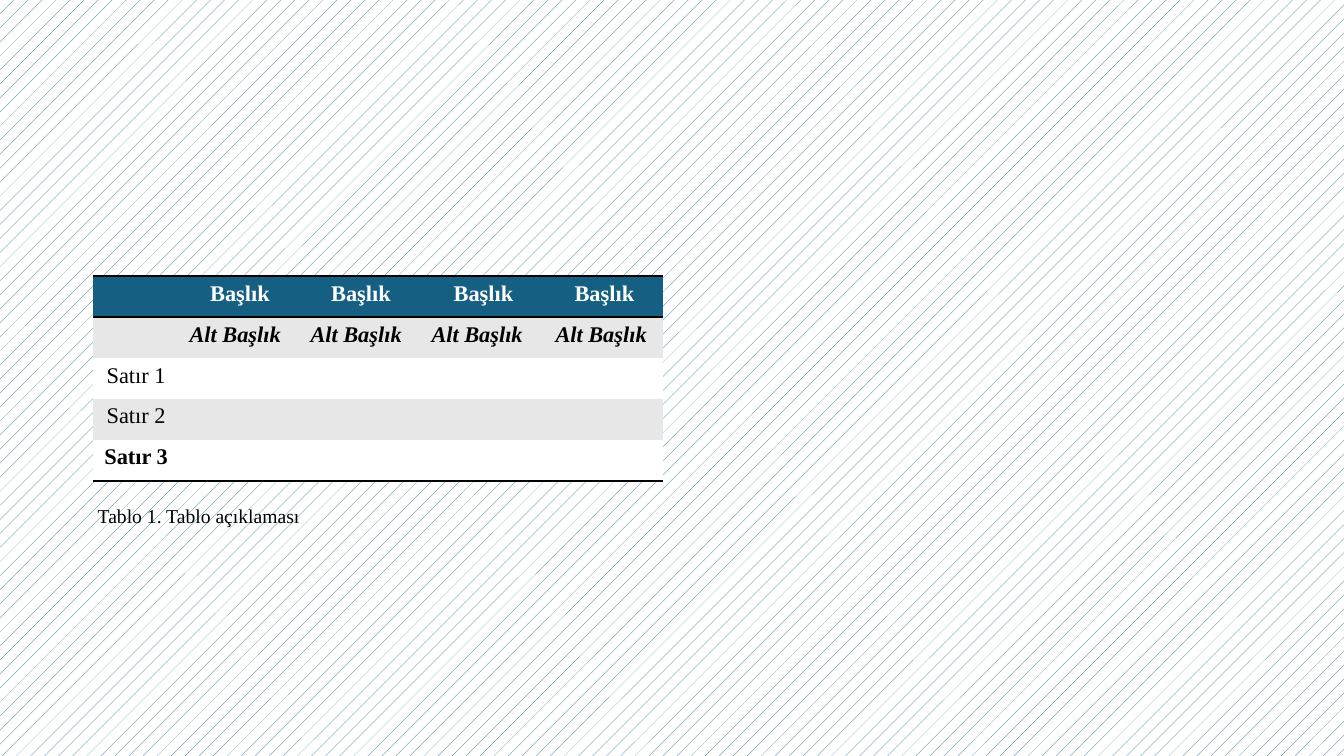
from dataclasses import dataclass

from lxml import etree
from pptx import Presentation
from pptx import util as u
from pptx.dml.color import RGBColor
from pptx.enum import dml, text
from pptx.oxml.ns import qn


@dataclass(frozen=True)
class Theme:
    font: str = "Times New Roman"
    blue: str = "156082"
    gray: str = "E7E7E7"
    white: str = "FFFFFF"
    black: str = "000000"
    body: int = 16
    small: int = 14
    rule: int = 2


THEME = Theme()
PLAIN = "{2D5ABB26-0587-4C30-8999-92F81FD0307C}"
WIDTHS = (0.86, 1.2, 1.2, 1.23, 1.17)
ROWS = (
    ("",) + ("Başlık",) * 4,
    ("",) + ("Alt Başlık",) * 4,
    ("Satır 1",),
    ("Satır 2",),
    ("Satır 3",),
)


def set_back(slide):
    fill = slide.background.fill
    fill.patterned()
    fill.pattern = dml.MSO_PATTERN.PERCENT_5
    fill.fore_color.rgb = RGBColor.from_string(THEME.blue)
    fill.back_color.rgb = RGBColor.from_string(THEME.white)


def write(para, words, size, color=THEME.black, bold=False, italic=False):
    para.text = words
    font = para.font
    font.name, font.size = THEME.font, u.Pt(size)
    font.bold, font.italic = bold, italic
    font.color.rgb = RGBColor.from_string(color)


def add_rule(cell, side):
    """Draw one cell border; side is lnT or lnB. Call before filling the cell."""
    props = cell._tc.get_or_add_tcPr()
    line = etree.SubElement(props, qn("a:" + side), w=str(u.Pt(THEME.rule)))
    fill = etree.SubElement(line, qn("a:solidFill"))
    etree.SubElement(fill, qn("a:srgbClr"), val=THEME.black)


def style_cell(cell, row):
    head, last = row == 0, row == len(ROWS) - 1
    if head:
        add_rule(cell, "lnT")
    if head or last:
        add_rule(cell, "lnB")
    color = THEME.blue if head else (THEME.gray if row % 2 else THEME.white)
    cell.fill.solid()
    cell.fill.fore_color.rgb = RGBColor.from_string(color)


def add_grid(slide):
    frame = slide.shapes.add_table(
        len(ROWS), len(WIDTHS), u.Inches(0.92), u.Inches(2.74),
        u.Inches(sum(WIDTHS)), u.Inches(2.03))
    for style in frame.element.iter(qn("a:tableStyleId")):
        style.text = PLAIN
    table = frame.table
    for col, width in zip(table.columns, WIDTHS):
        col.width = u.Inches(width)
    for row, words in enumerate(ROWS):
        for col in range(len(WIDTHS)):
            style_cell(table.cell(row, col), row)
        for col, word in enumerate(words):
            if not word:
                continue
            para = table.cell(row, col).text_frame.paragraphs[0]
            para.alignment = (text.PP_ALIGN.JUSTIFY if row == 1
                              else text.PP_ALIGN.CENTER)
            write(para, word, THEME.body,
                  color=THEME.black if row else THEME.white,
                  bold=row in (0, 1, len(ROWS) - 1), italic=row == 1)


def add_label(slide, words):
    box = slide.shapes.add_textbox(
        u.Inches(0.87), u.Inches(4.95), u.Inches(2.95), u.Inches(0.34))
    frame = box.text_frame
    frame.word_wrap = True
    frame.auto_size = text.MSO_AUTO_SIZE.SHAPE_TO_FIT_TEXT
    write(frame.paragraphs[0], words, THEME.small)


def main():
    deck = Presentation()
    deck.slide_width, deck.slide_height = u.Inches(13.33), u.Inches(7.5)
    slide = deck.slides.add_slide(deck.slide_layouts[6])
    set_back(slide)
    add_grid(slide)
    add_label(slide, "Tablo 1. Tablo açıklaması")
    deck.save("out.pptx")


if __name__ == "__main__":
    main()
